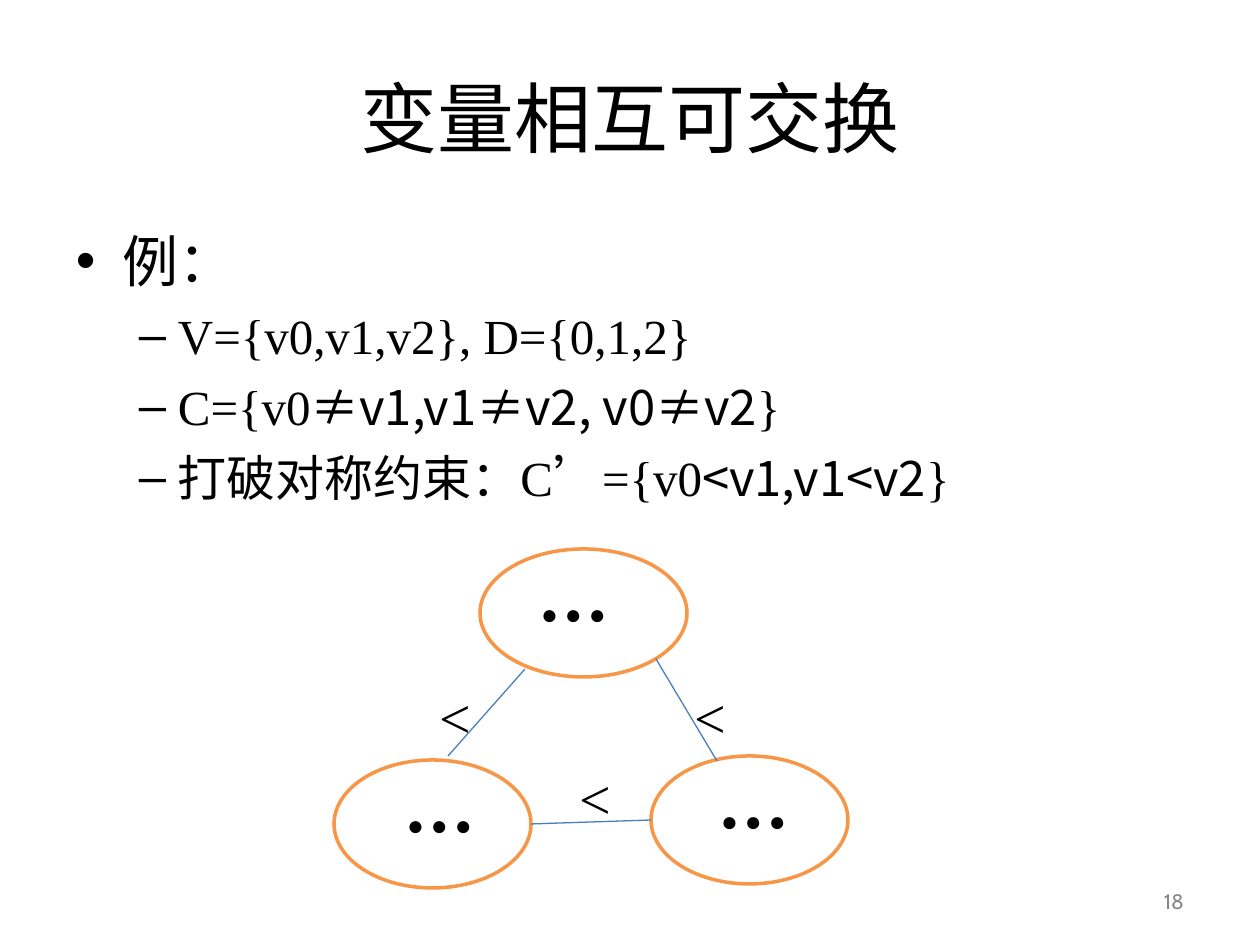
from dataclasses import dataclass

from lxml.etree import SubElement
from pptx import Presentation
from pptx.dml.color import RGBColor as RGB
from pptx.enum.shapes import MSO_CONNECTOR as CONN, MSO_SHAPE as SHAPE
from pptx.enum.text import MSO_ANCHOR as ANCHOR, PP_ALIGN as ALIGN
from pptx.oxml.ns import qn
from pptx.util import Emu, Pt


@dataclass(frozen=True)
class Theme:
    """Colours, fonts and type sizes of the slide."""
    ink: RGB = RGB(0, 0, 0)
    paper: RGB = RGB(255, 255, 255)
    node: RGB = RGB(0xF7, 0x96, 0x46)
    edge: RGB = RGB(0x4A, 0x7E, 0xBB)
    muted: RGB = RGB(0x89, 0x89, 0x89)
    serif: str = "Times New Roman"
    cjk: str = "Noto Sans CJK SC"
    heading: str = "Arial"
    footer: str = "Cabin"
    title_pt: int = 44
    body_pt: int = 32
    sub_pt: int = 28
    dots_pt: int = 16
    number_pt: int = 12


T = Theme()
EMU_PER_PX = 914400 / 126
INSET_X, INSET_Y = 13, 6


def px(n):
    """Turn whole pixels into EMU."""
    return Emu(round(n * EMU_PER_PX))


def set_attrs(obj, **values):
    """Set each named attribute on an object."""
    for name, value in values.items():
        setattr(obj, name, value)


def add_run(p, text, size, font=T.serif, color=T.ink):
    """Append a formatted run, with one face for Chinese text."""
    r = p.add_run()
    r.text = text
    set_attrs(r.font, size=Pt(size), name=font)
    r.font.color.rgb = color
    SubElement(r.font._element, qn("a:ea"), typeface=T.cjk)


def set_frame(s, anchor, shift=0):
    """Prepare a text frame, moving centred text sideways by shift."""
    tf = s.text_frame
    set_attrs(tf, word_wrap=True, vertical_anchor=anchor,
              margin_left=px(INSET_X + max(2 * shift, 0)),
              margin_right=px(INSET_X + max(-2 * shift, 0)),
              margin_top=px(INSET_Y), margin_bottom=px(INSET_Y))
    return tf


def add_label(sp, box, text, size, align=ALIGN.CENTER, **style):
    """Add a one-line text box, centred vertically."""
    s = sp.add_textbox(*map(px, box))
    p = set_frame(s, ANCHOR.MIDDLE).paragraphs[0]
    p.alignment = align
    add_run(p, text, size, **style)


def set_bullet(p, char, left, hang, before):
    """Give a paragraph its bullet, hanging indent and space before."""
    p.space_before = Pt(before)
    pPr = p._p.get_or_add_pPr()
    pPr.set("marL", str(px(left)))
    pPr.set("indent", str(px(-hang)))
    SubElement(pPr, qn("a:buFont"), typeface=T.heading)
    SubElement(pPr, qn("a:buChar"), char=char)


def add_outline(sp, box, heading, items):
    """Add a bulleted heading with dashed items under it."""
    tf = set_frame(sp.add_textbox(*map(px, box)), ANCHOR.TOP)
    p = tf.paragraphs[0]
    set_bullet(p, "•", 47, 47, 8)
    add_run(p, heading, T.body_pt)
    for runs in items:
        p = tf.add_paragraph()
        p.level = 1
        set_bullet(p, "–", 102, 39, 7)
        for text, font in runs:
            add_run(p, text, T.sub_pt, font)


def add_node(sp, box, shift):
    """Add an outlined ellipse holding three dots."""
    s = sp.add_shape(SHAPE.OVAL, *map(px, box))
    s.shadow.inherit = False
    s.fill.solid()
    s.fill.fore_color.rgb = T.paper
    s.line.color.rgb = T.node
    s.line.width = Pt(2)
    p = set_frame(s, ANCHOR.MIDDLE, shift).paragraphs[0]
    p.alignment = ALIGN.CENTER
    add_run(p, "● ● ●", T.dots_pt)


def add_edge(sp, ends):
    """Add a thin straight connector."""
    s = sp.add_connector(CONN.STRAIGHT, *map(px, ends))
    s.line.color.rgb = T.edge
    s.line.width = Pt(0.75)
    SubElement(s._element.spPr, qn("a:effectLst"))


def main():
    """Build the slide and save it."""
    prs = Presentation()
    set_attrs(prs, slide_width=px(1260), slide_height=px(945))
    sp = prs.slides.add_slide(prs.slide_layouts[6]).shapes

    add_label(sp, (63, 38, 1134, 157), "变量相互可交换", T.title_pt, font=T.heading)
    add_outline(sp, (63, 220, 1134, 624), "例：", [
        [("V={v0,v1,v2}, D={0,1,2}", T.serif)],
        [("C={v0", T.serif), ("≠v1,v1≠v2, v0≠v2", T.cjk), ("}", T.serif)],
        [("打破对称约束：C", T.serif), ("’", T.cjk), ("={v0", T.serif),
         ("<v1,v1<v2", T.cjk), ("}", T.serif)],
    ])
    add_label(sp, (903, 876, 294, 50), "18", T.number_pt, ALIGN.RIGHT,
              font=T.footer, color=T.muted)

    for x, y, w, shift in ((480, 549, 207, -10), (334, 760, 197, 7),
                           (651, 756, 197, 4)):
        add_node(sp, (x, y, w, 128), shift)
    for ends in ((448, 756, 525, 669), (656, 659, 717, 761),
                 (531, 824, 651, 820)):
        add_edge(sp, ends)
    for x, y in ((455, 716), (710, 716), (595, 797)):
        add_label(sp, (x - 40, y - 38, 80, 76), "<", T.body_pt)

    prs.save("out.pptx")


if __name__ == "__main__":
    main()
